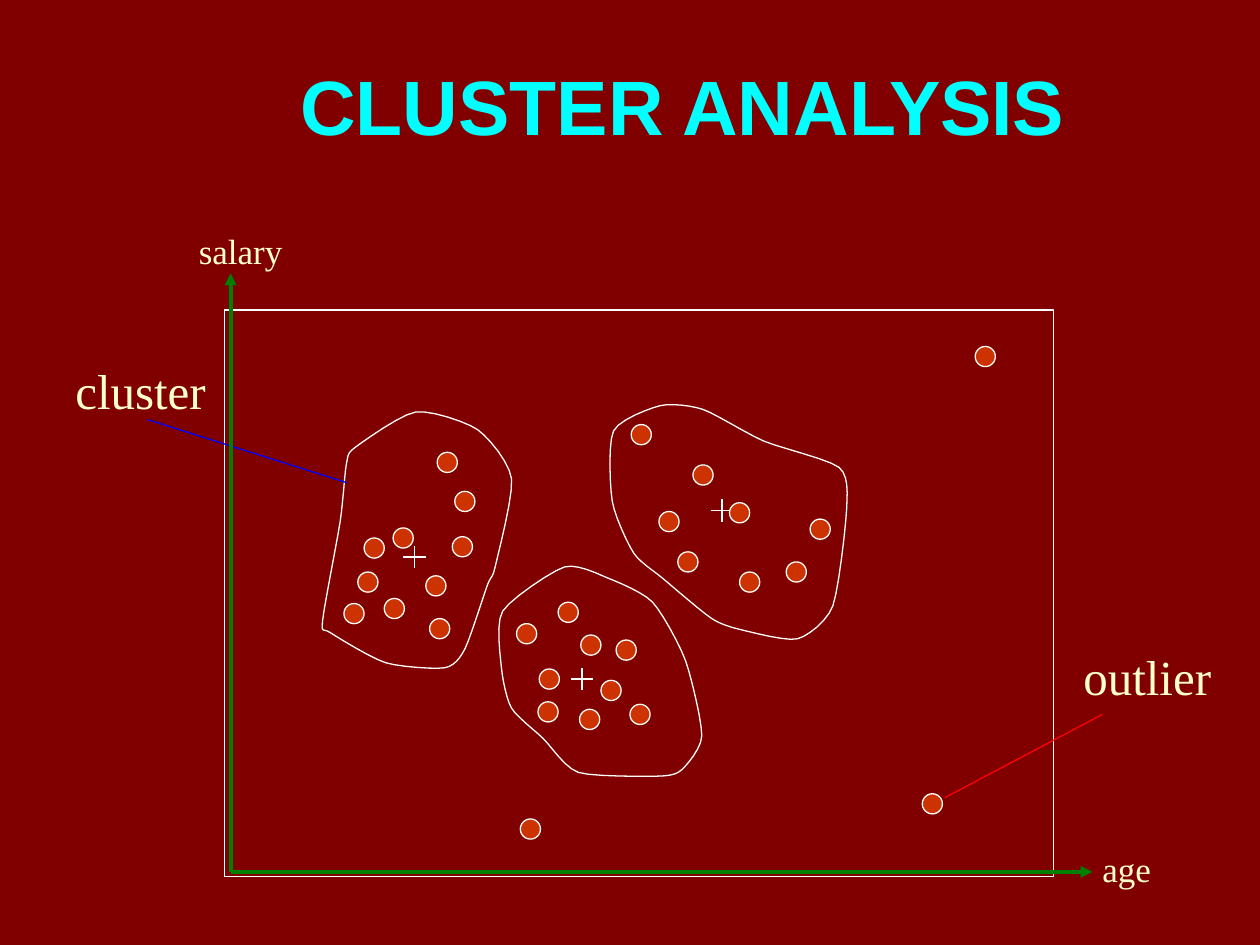
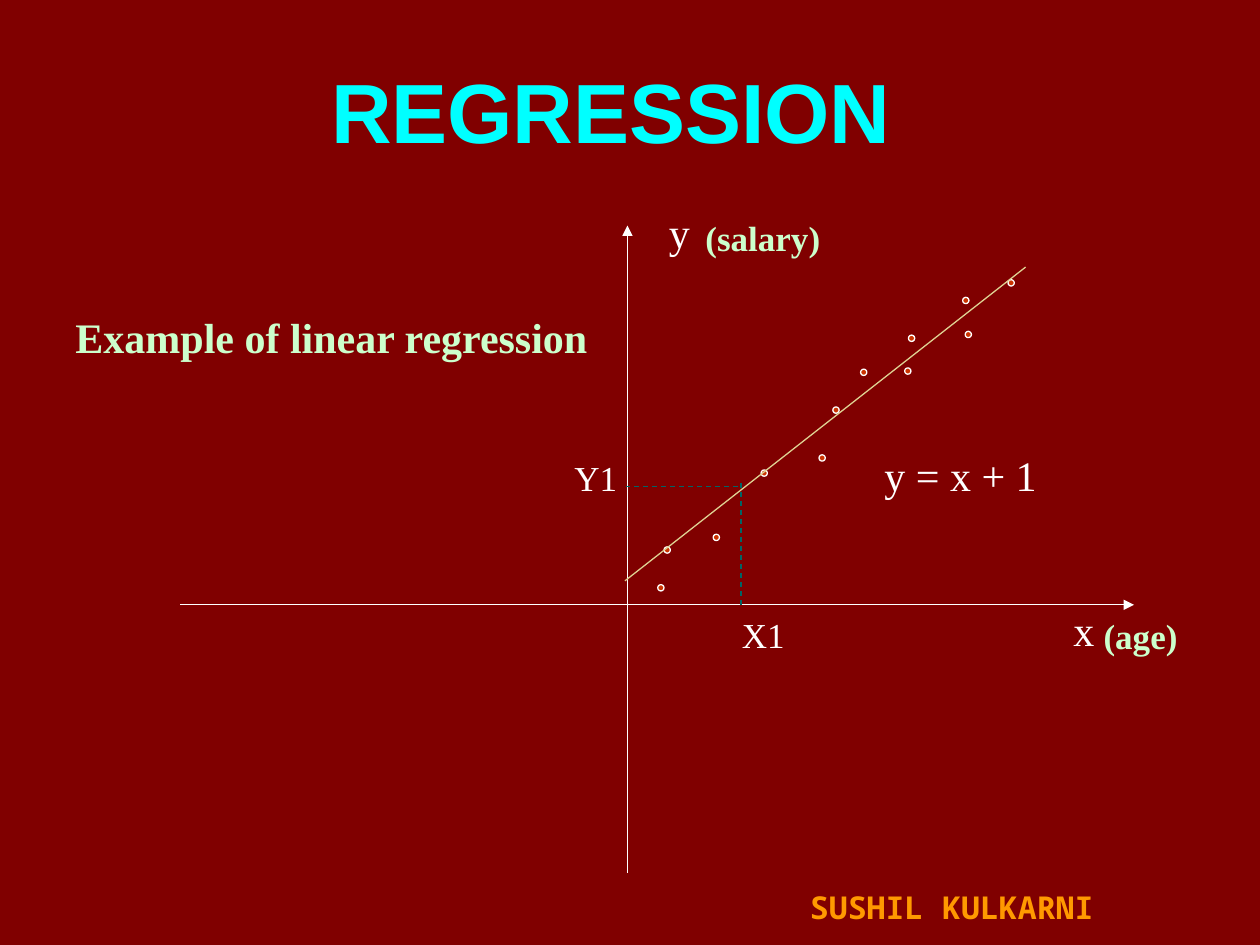
from lxml.etree import SubElement
from pptx import Presentation
from pptx.dml.color import RGBColor
from pptx.enum.dml import MSO_LINE
from pptx.enum.shapes import MSO_CONNECTOR, MSO_SHAPE
from pptx.enum.text import MSO_ANCHOR, MSO_AUTO_SIZE, PP_ALIGN
from pptx.oxml.ns import qn
from pptx.util import Inches, Pt

HUES = {
    "back": "800000", "title": "00FFFF", "dot": "CC3300", "white": "FFFFFF",
    "cream": "FFFFCC", "mint": "CCFFCC", "axis": "008000", "blue": "0000FF",
    "red": "FF0000", "trend": "DFD293", "guide": "006666", "name": "FF9900",
}
WIDE, HIGH = 10, 7.5
STEPS = 6  # straight pieces between two knots of an outline
BEND = 0.35  # how far an outline follows its neighbours' direction
ARM = 0.09  # half the width of a centre mark

SERIF = {"name": "Times New Roman", "bold": False}
STRONG = {"name": "Times New Roman", "bold": True, "hue": "mint"}
STYLES = {
    "tag": {**SERIF, "hue": "cream", "size": 28},
    "axis": {**SERIF, "hue": "cream", "size": 20},
    "math": {**SERIF, "hue": "white", "size": 24},
    "mark": {**SERIF, "hue": "white", "size": 20},
    "unit": {**STRONG, "size": 20},
    "note": {**STRONG, "size": 24},
    "name": {"name": "Noto Sans Mono", "bold": True, "hue": "name", "size": 18},
}

# Each cluster: its centre, the knots of its outline and its dots
CLUSTERS = [
    {"centre": (5.73, 4.05),
     "knots": [(6.66, 3.71), (6.72, 4.04), (6.61, 4.81), (6.33, 5.07),
               (5.89, 5), (5.65, 4.91), (5.26, 4.59), (5.03, 4.39),
               (4.86, 3.98), (4.87, 3.42), (5.24, 3.22), (5.58, 3.25),
               (6.06, 3.5)],
     "dots": [(5.5, 3.69), (5.38, 4.38), (5.79, 3.99), (5.23, 4.06), (6.43, 4.12),
              (6.24, 4.46), (5.87, 4.54), (5.01, 3.37)]},
    {"centre": (4.62, 5.39),
     "knots": [(4.31, 5.86), (4.06, 5.62), (3.98, 5.3), (3.99, 4.85),
               (4.48, 4.5), (4.83, 4.59), (5.18, 4.78), (5.44, 5.24),
               (5.57, 5.84), (5.41, 6.11), (5.22, 6.16), (4.59, 6.13)],
     "dots": [(4.1, 4.95), (4.89, 5.08), (4.6, 5.63), (4.77, 5.4), (4.28, 5.31),
              (4.27, 5.57), (4.43, 4.78), (4.61, 5.04), (5, 5.59)]},
    {"centre": (3.29, 4.42),
     "knots": [(3.87, 4.64), (3.69, 5.15), (3.53, 5.3), (3.06, 5.26),
               (2.62, 5.02), (2.56, 4.93), (2.7, 4.14), (2.75, 3.68),
               (2.82, 3.55), (3.3, 3.27), (3.79, 3.41), (4.06, 3.8),
               (3.93, 4.5)],
     "dots": [(3.05, 4.75), (2.84, 4.54), (3.38, 4.57), (3.12, 4.19), (2.73, 4.79),
              (2.89, 4.27), (3.41, 4.91), (3.59, 4.26), (3.61, 3.9), (3.47, 3.59)]},
]

HEAVY = {"width": 2.25, "arrow": True}
ARROW = {"arrow": True}
DASH = {"dash": True}

# Lines: start, end, colour, format. Texts: words, (left, top, width), style.
SLIDES = [
    {
        "title": ("CLUSTER ANALYSIS", (1.67, 0.5, 7.5, 0.67), 44),
        "frame": (1.78, 2.46, 6.58, 4.5),
        "clusters": CLUSTERS,
        "dot": (MSO_SHAPE.FLOWCHART_CONNECTOR, 0.16),
        "dots": [(7.32, 6.3), (4.13, 6.5), (7.74, 2.75)],
        "lines": [
            ((1.17, 3.33), (2.75, 3.83), "blue", {}),
            ((7.5, 6.33), (8.75, 5.67), "red", {}),
            ((1.83, 6.92), (1.83, 2.17), "axis", HEAVY),
            ((1.83, 6.92), (8.67, 6.92), "axis", HEAVY)],
        "texts": [
            ("cluster", (0.5, 2.81, 1.24), "tag"),
            ("outlier", (8.5, 5.08, 1.22), "tag"),
            ("salary", (1.48, 1.77, 0.87), "axis"),
            ("age", (8.65, 6.68, 0.59), "axis")],
    },
    {
        "title": ("REGRESSION", (2.08, 0.25, 5.54, 1.25), 48),
        "dot": (MSO_SHAPE.OVAL, 0.05),
        "dots": [
            (6.5, 3.61), (6.04, 3.73), (5.66, 4.24), (6.61, 3.23), (6.83, 2.93),
            (5.27, 4.34), (7.18, 2.92), (7.21, 2.66), (7.66, 2.63), (5.22, 4.64),
            (7.64, 2.36), (8, 2.22)],
        "lines": [
            ((1.43, 4.8), (9, 4.8), "white", ARROW),
            ((4.98, 6.93), (4.98, 1.79), "white", ARROW),
            ((4.96, 4.61), (8.14, 2.12), "trend", {}),
            ((5.88, 3.83), (5.88, 4.82), "guide", DASH),
            ((5.86, 3.86), (4.97, 3.86), "guide", DASH)],
        "texts": [
            ("x", (8.42, 4.75, 0.36), "math"),
            ("y", (5.21, 1.59, 0.36), "math"),
            ("y = x + 1", (6.92, 3.52, 1.41), "math"),
            ("X1", (5.79, 4.82, 0.54), "mark"),
            ("Y1", (4.46, 3.57, 0.54), "mark"),
            ("(salary)", (5.5, 1.67, 1.11), "unit"),
            ("(age)", (8.66, 4.83, 0.79), "unit"),
            ("Example of linear regression", (0.5, 2.42, 4.29), "note"),
            ("SUSHIL KULKARNI", (6.33, 7, 2.58), "name")],
    },
]


def tint(hue):
    return RGBColor.from_string(HUES[hue])


def put_text(slide, text, box, style):
    frame = slide.shapes.add_textbox(*map(Inches, box)).text_frame
    frame.word_wrap = False
    run = frame.paragraphs[0].add_run()
    run.text = text
    run.font.color.rgb = tint(style["hue"])
    values = {"name": style["name"], "size": Pt(style["size"]), "bold": style["bold"]}
    for key, value in values.items():
        setattr(run.font, key, value)
    return frame


def put_title(slide, text, box, size):
    style = {"name": "Arial", "hue": "title", "size": size, "bold": True}
    frame = put_text(slide, text, box, style)
    frame.word_wrap = True
    frame.vertical_anchor = MSO_ANCHOR.MIDDLE
    frame.paragraphs[0].alignment = PP_ALIGN.CENTER


def put_label(slide, text, spot, style):
    """Place one line of text in a box as high as its type needs."""
    high = style["size"] / 60 + 0.1
    frame = put_text(slide, text, (*spot, high), style)
    frame.auto_size = MSO_AUTO_SIZE.SHAPE_TO_FIT_TEXT


def put_line(slide, start, end, hue, width=0.75, arrow=False, dash=False):
    ends = map(Inches, (*start, *end))
    link = slide.shapes.add_connector(MSO_CONNECTOR.STRAIGHT, *ends)
    link.line.color.rgb = tint(hue)
    link.line.width = Pt(width)
    if dash:
        link.line.dash_style = MSO_LINE.DASH
    props = link._element.spPr
    if arrow:
        SubElement(props.find(qn("a:ln")), qn("a:tailEnd"), type="triangle")
    SubElement(props, qn("a:effectLst"))


def dress(shape, fill=None):
    """Give a shape the thin white edge, and a fill if one is named."""
    shape.shadow.inherit = False
    shape.line.color.rgb = tint("white")
    shape.line.width = Pt(0.75)
    if fill:
        shape.fill.solid()
        shape.fill.fore_color.rgb = tint(fill)
    else:
        shape.fill.background()


def put_shape(slide, kind, box, fill=None):
    dress(slide.shapes.add_shape(kind, *map(Inches, box)), fill)


def put_cross(slide, x, y):
    put_line(slide, (x - ARM, y), (x + ARM, y), "white")
    put_line(slide, (x, y + ARM), (x, y - ARM), "white")


def blend(a, b, c, d, t):
    """Find the place at share t on the smooth curve from b to c."""
    out, back = BEND * (c - a), BEND * (d - b)
    rise = t * t * (3 - 2 * t)
    return (b + (c - b) * rise + out * t * (1 - t) ** 2
            - back * t * t * (1 - t))


def trace(knots):
    """Yield points along a closed smooth curve through the knots."""
    count = len(knots)
    for i in range(count):
        four = [knots[(i + k) % count] for k in (-1, 0, 1, 2)]
        for step in range(STEPS):
            yield tuple(Inches(blend(*axis, step / STEPS)) for axis in zip(*four))


def put_outline(slide, knots):
    first, *rest = trace(knots)
    pen = slide.shapes.build_freeform(*first, scale=1.0)
    pen.add_line_segments(rest, close=True)
    dress(pen.convert_to_shape())


def build(deck, data):
    slide = deck.slides.add_slide(deck.slide_layouts[6])
    slide.background.fill.solid()
    slide.background.fill.fore_color.rgb = tint("back")
    put_title(slide, *data["title"])
    if "frame" in data:
        put_shape(slide, MSO_SHAPE.RECTANGLE, data["frame"])
    dots = list(data["dots"])
    for group in data.get("clusters", []):
        put_cross(slide, *group["centre"])
        put_outline(slide, group["knots"])
        dots += group["dots"]
    kind, size = data["dot"]
    for spot in dots:
        put_shape(slide, kind, (*spot, size, size), "dot")
    for start, end, hue, looks in data["lines"]:
        put_line(slide, start, end, hue, **looks)
    for text, spot, style in data["texts"]:
        put_label(slide, text, spot, STYLES[style])


def main():
    deck = Presentation()
    deck.slide_width, deck.slide_height = Inches(WIDE), Inches(HIGH)
    for data in SLIDES:
        build(deck, data)
    deck.save("out.pptx")


if __name__ == "__main__":
    main()
